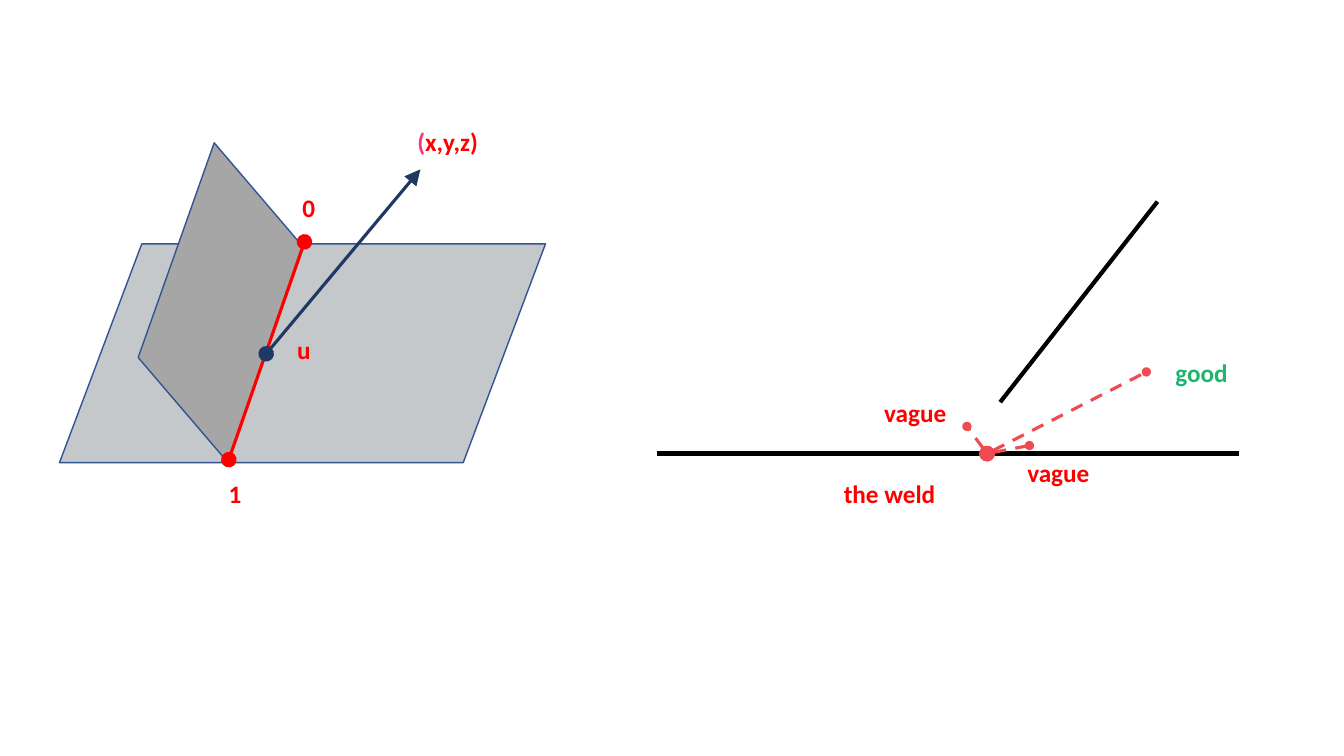
from lxml import etree
from pptx import Presentation
from pptx import util as u
from pptx.dml import color as dml_color
from pptx.enum import dml, shapes, text
from pptx.oxml import ns

COLORS = {
    "plate": "C5C8CA",
    "wall": "A6A6A6",
    "outline": "325491",
    "red": "FF0000",
    "pink": "FF3272",
    "navy": "203864",
    "coral": "F04B52",
    "green": "1DB66E",
    "black": "000000",
}


class Diagram:
    """Draws the weld diagrams on one slide in a shared style."""

    font = {"name": "Calibri", "size": u.Pt(18), "bold": True}
    frame = {
        "word_wrap": False,
        "auto_size": text.MSO_AUTO_SIZE.SHAPE_TO_FIT_TEXT,
    }

    def __init__(self, slide):
        self.slide = slide
        self.shapes = slide.shapes

    def start_group(self):
        self.shapes = self.slide.shapes.add_group_shape().shapes

    def color(self, name):
        return dml_color.RGBColor.from_string(COLORS[name])

    def apply(self, target, values):
        for name, value in values.items():
            setattr(target, name, value)

    def parallelogram(self, left, top, width, height, slant, fill, rotation=0):
        shape = self.shapes.add_shape(
            shapes.MSO_SHAPE.PARALLELOGRAM,
            *map(u.Inches, (left, top, width, height)),
        )
        shape.adjustments[0] = slant
        shape.rotation = rotation
        shape.shadow.inherit = False
        shape.fill.solid()
        shape.fill.fore_color.rgb = self.color(fill)
        shape.line.color.rgb = self.color("outline")
        shape.line.width = u.Pt(1)

    def line(self, start, end, color, width=2.25, dash=None, head=None, tail=None):
        connector = self.shapes.add_connector(
            shapes.MSO_CONNECTOR.STRAIGHT, *map(u.Inches, (*start, *end))
        )
        connector.line.color.rgb = self.color(color)
        self.apply(connector.line, {"width": u.Pt(width), "dash_style": dash})
        properties = connector.line._get_or_add_ln()
        for tag, marker in (("a:headEnd", head), ("a:tailEnd", tail)):
            if marker:
                kind, size = marker
                etree.SubElement(properties, ns.qn(tag), type=kind, w=size, len=size)
        etree.SubElement(connector._element.spPr, ns.qn("a:effectLst"))

    def label(self, left, top, width, *runs):
        box = self.shapes.add_textbox(*map(u.Inches, (left, top, width, 0.4)))
        self.apply(box.text_frame, self.frame)
        paragraph = box.text_frame.paragraphs[0]
        for words, color in runs:
            run = paragraph.add_run()
            run.text = words
            self.apply(run.font, self.font)
            run.font.color.rgb = self.color(color)


def draw_plates(diagram):
    """Draws the two plates, the weld seam and the direction vector."""
    large_dot = ("oval", "lg")
    diagram.start_group()
    diagram.parallelogram(0.59, 2.42, 4.82, 2.17, 0.376, "plate")
    diagram.parallelogram(0.72, 2.41, 2.94, 1.18, 0.577, "wall", 289.5)
    diagram.line((2.27, 4.56), (3.02, 2.4), "red", head=large_dot, tail=large_dot)
    diagram.line((2.64, 3.51), (4.17, 1.68), "navy",
                 head=large_dot, tail=("triangle", "lg"))
    diagram.label(2.17, 4.7, 0.33, ("1", "red"))
    diagram.label(2.9, 1.86, 0.33, ("0", "red"))
    diagram.label(4.04, 1.2, 0.81, ("(", "pink"), ("x,y,z)", "red"))
    diagram.label(2.85, 3.27, 0.34, ("u", "red"))


def draw_section(diagram):
    """Draws the side view with good and vague torch points."""
    weld = (9.79, 4.5)
    diagram.start_group()
    diagram.line((6.52, 4.5), (12.29, 4.5), "black", 3)
    for point in ((11.37, 3.69), (9.59, 4.23), (10.21, 4.42)):
        diagram.line(weld, point, "coral", dash=dml.MSO_LINE.DASH,
                     head=("oval", "lg"), tail=("oval", "med"))
    diagram.label(8.67, 3.89, 0.82, ("vague", "red"))
    diagram.label(10.09, 4.49, 0.82, ("vague", "red"))
    diagram.label(8.27, 4.7, 1.12, ("the weld", "red"))
    diagram.label(11.56, 3.5, 0.72, ("good", "green"))
    diagram.line((9.92, 3.99), (11.48, 2), "black", 3)


def main():
    """Builds and saves the slide."""
    presentation = Presentation()
    presentation.slide_width = u.Inches(13.33)
    presentation.slide_height = u.Inches(7.5)
    slide = presentation.slides.add_slide(presentation.slide_layouts[6])
    diagram = Diagram(slide)
    draw_plates(diagram)
    draw_section(diagram)
    presentation.save("out.pptx")


if __name__ == "__main__":
    main()
